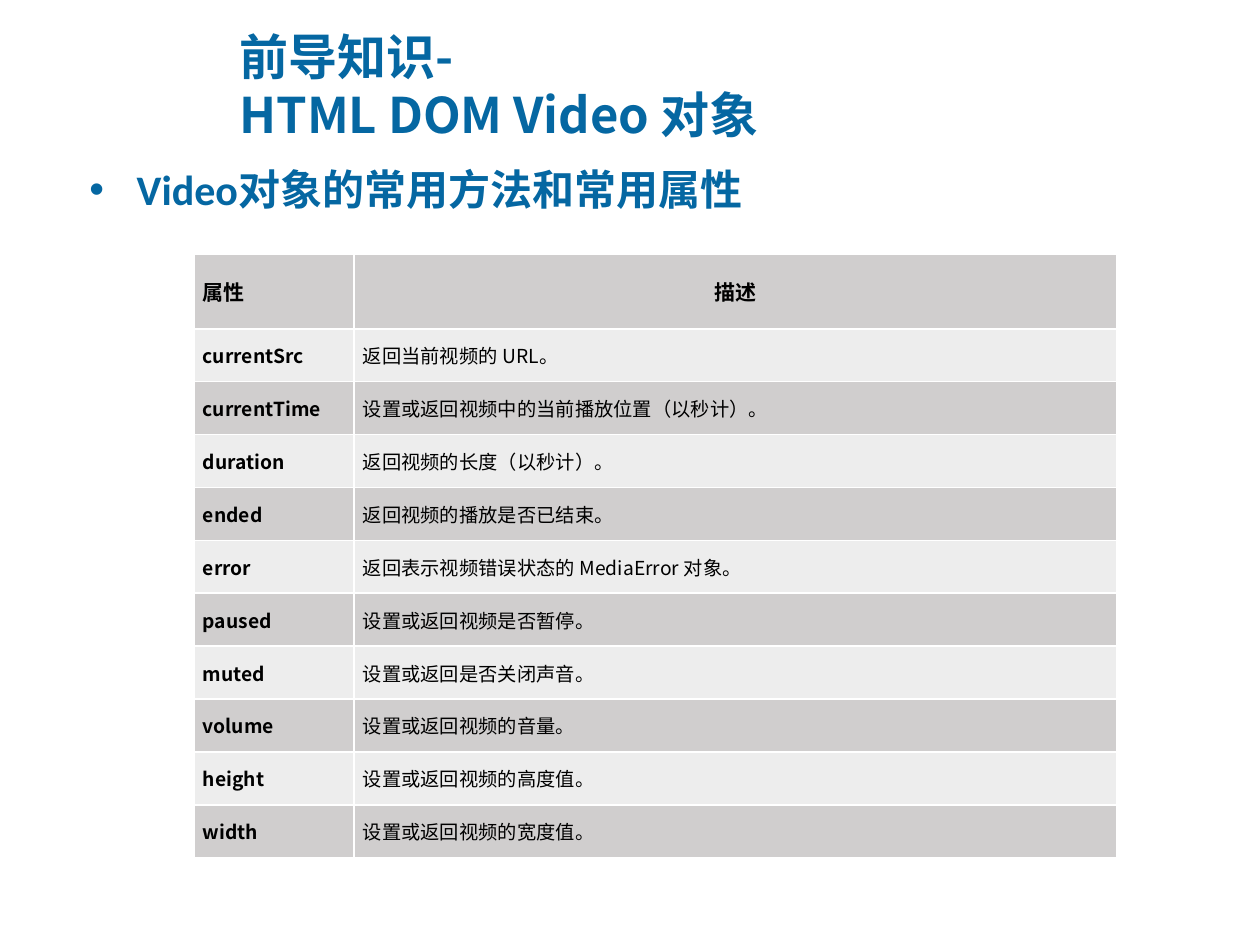
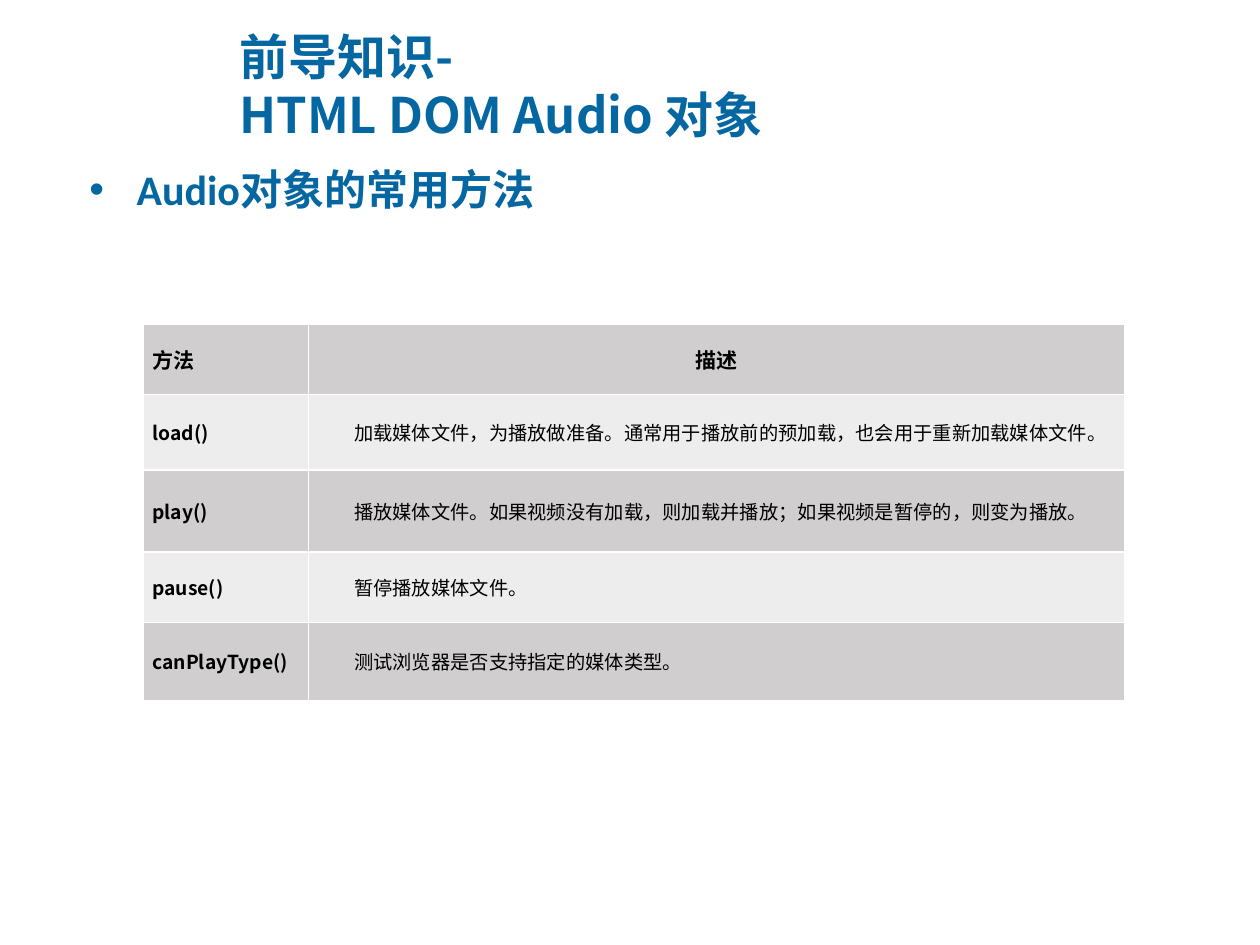
from pptx import Presentation
from pptx.dml.color import RGBColor as Rgb
from pptx.enum.text import MSO_ANCHOR as Anchor, MSO_AUTO_SIZE as AutoSize, PP_ALIGN as Align
from pptx.oxml.ns import qn
from pptx.util import Inches, Pt
from lxml.etree import SubElement

COLORS = {"heading": "0567A2", "text": "000000", "dark": "D0CECE", "light": "EDEDED", "border": "FFFFFF"}
CJK_FONT = "Noto Sans CJK SC"
LATIN_FONT = "Calibri"

VIDEO_PROPERTIES = [
    ("属性", "描述"),
    ("currentSrc", "返回当前视频的 URL。"),
    ("currentTime", "设置或返回视频中的当前播放位置（以秒计）。"),
    ("duration", "返回视频的长度（以秒计）。"),
    ("ended", "返回视频的播放是否已结束。"),
    ("error", "返回表示视频错误状态的 MediaError 对象。"),
    ("paused", "设置或返回视频是否暂停。"),
    ("muted", "设置或返回是否关闭声音。"),
    ("volume", "设置或返回视频的音量。"),
    ("height", "设置或返回视频的高度值。"),
    ("width", "设置或返回视频的宽度值。"),
]
AUDIO_METHODS = [
    ("方法", "描述"),
    ("load()", "加载媒体文件，为播放做准备。通常用于播放前的预加载，也会用于重新加载媒体文件。"),
    ("play()", "播放媒体文件。如果视频没有加载，则加载并播放；如果视频是暂停的，则变为播放。"),
    ("pause()", "暂停播放媒体文件。"),
    ("canPlayType()", "测试浏览器是否支持指定的媒体类型。"),
]


def style_runs(paragraph, font_name, size, color, bold=True):
    """Format every run, using one typeface for Latin and Chinese text."""
    for run in paragraph.runs:
        font = run.font
        font.name, font.size, font.bold = font_name, Pt(size), bold
        font.color.rgb = Rgb.from_string(COLORS[color])
        SubElement(run._r.get_or_add_rPr(), qn("a:ea"), typeface=font_name)


def set_indent(paragraph, margin, first_line):
    """Set the left margin and first-line indent of a paragraph."""
    properties = paragraph._p.get_or_add_pPr()
    properties.set("marL", str(Inches(margin)))
    properties.set("indent", str(Inches(first_line)))


def place(placeholder, left, top, width, height, anchor):
    """Move a placeholder and fix how its text fits."""
    placeholder.left, placeholder.top = Inches(left), Inches(top)
    placeholder.width, placeholder.height = Inches(width), Inches(height)
    frame = placeholder.text_frame
    frame.word_wrap, frame.auto_size = True, AutoSize.NONE
    frame.vertical_anchor = anchor
    return frame


def add_headed_slide(prs, subject, topic, topic_width):
    """Add a slide with the shared two-line title and one bulleted topic."""
    slide = prs.slides.add_slide(prs.slide_layouts[1])
    title = place(slide.shapes.title, 1.8, 0.26, 8.2, 0.84, Anchor.MIDDLE)
    title.text = f"前导知识-\nHTML DOM {subject} 对象"
    for line in title.paragraphs:
        line.alignment = Align.LEFT
        line.line_spacing = Pt(33)
        set_indent(line, 0.62, -0.62)
        style_runs(line, CJK_FONT, 28, "heading")
    body = place(slide.placeholders[1], 0.61, 1.05, topic_width, 0.64, Anchor.TOP)
    body.text = f"{subject}{topic}"
    bullet = body.paragraphs[0]
    bullet.line_spacing = 1.5
    style_runs(bullet, LATIN_FONT, 24, "heading")
    return slide


def add_borders(cell):
    """Draw thin borders on the four sides of a cell, ahead of its fill."""
    properties = cell._tc.get_or_add_tcPr()
    for position, side in enumerate(("a:lnL", "a:lnR", "a:lnT", "a:lnB")):
        line = SubElement(properties, qn(side), w=str(Pt(1)))
        fill = SubElement(line, qn("a:solidFill"))
        SubElement(fill, qn("a:srgbClr"), val=COLORS["border"])
        properties.insert(position, line)


def fill_cell(cell, text, row, column, description_indent):
    """Write and format one cell according to its row and column."""
    cell.fill.solid()
    cell.fill.fore_color.rgb = Rgb.from_string(COLORS["light" if row % 2 else "dark"])
    add_borders(cell)
    cell.margin_left = cell.margin_right = Inches(0.07)
    cell.margin_top = cell.margin_bottom = 0
    cell.vertical_anchor = Anchor.MIDDLE
    cell.text_frame.text = text
    paragraph = cell.text_frame.paragraphs[0]
    is_header, is_description = row == 0, column == 1
    if is_header:
        paragraph.alignment = Align.CENTER if is_description else Align.LEFT
    else:
        paragraph.alignment = Align.JUSTIFY
        if is_description:
            set_indent(paragraph, 0, description_indent)
    style_runs(paragraph, CJK_FONT, 12 if is_header else 11, "text", is_header or not is_description)


def add_reference_table(slide, entries, left, top, widths, heights, description_indent=0):
    """Add a two-column reference table with alternating rows."""
    table = slide.shapes.add_table(
        len(entries), 2, Inches(left), Inches(top), Inches(sum(widths)), Inches(sum(heights))
    ).table
    for column, width in zip(table.columns, widths):
        column.width = Inches(width)
    for row, (entry, height) in enumerate(zip(entries, heights)):
        table.rows[row].height = Inches(height)
        for column, text in enumerate(entry):
            fill_cell(table.cell(row, column), text, row, column, description_indent)


def main():
    """Build the video and audio reference slides."""
    prs = Presentation()
    prs.slide_width, prs.slide_height = Inches(10), Inches(7.5)
    video = add_headed_slide(prs, "Video", "对象的常用方法和常用属性", 5.45)
    video_heights = [0.59] + [0.42] * (len(VIDEO_PROPERTIES) - 1)
    add_reference_table(video, VIDEO_PROPERTIES, 1.54, 2.02, (1.27, 6.05), video_heights)
    audio = add_headed_slide(prs, "Audio", "对象的常用方法", 3.78)
    audio_heights = (0.56, 0.6, 0.65, 0.56, 0.62)
    add_reference_table(audio, AUDIO_METHODS, 1.14, 2.57, (1.31, 6.48), audio_heights, 0.29)
    prs.save("out.pptx")


if __name__ == "__main__":
    main()
